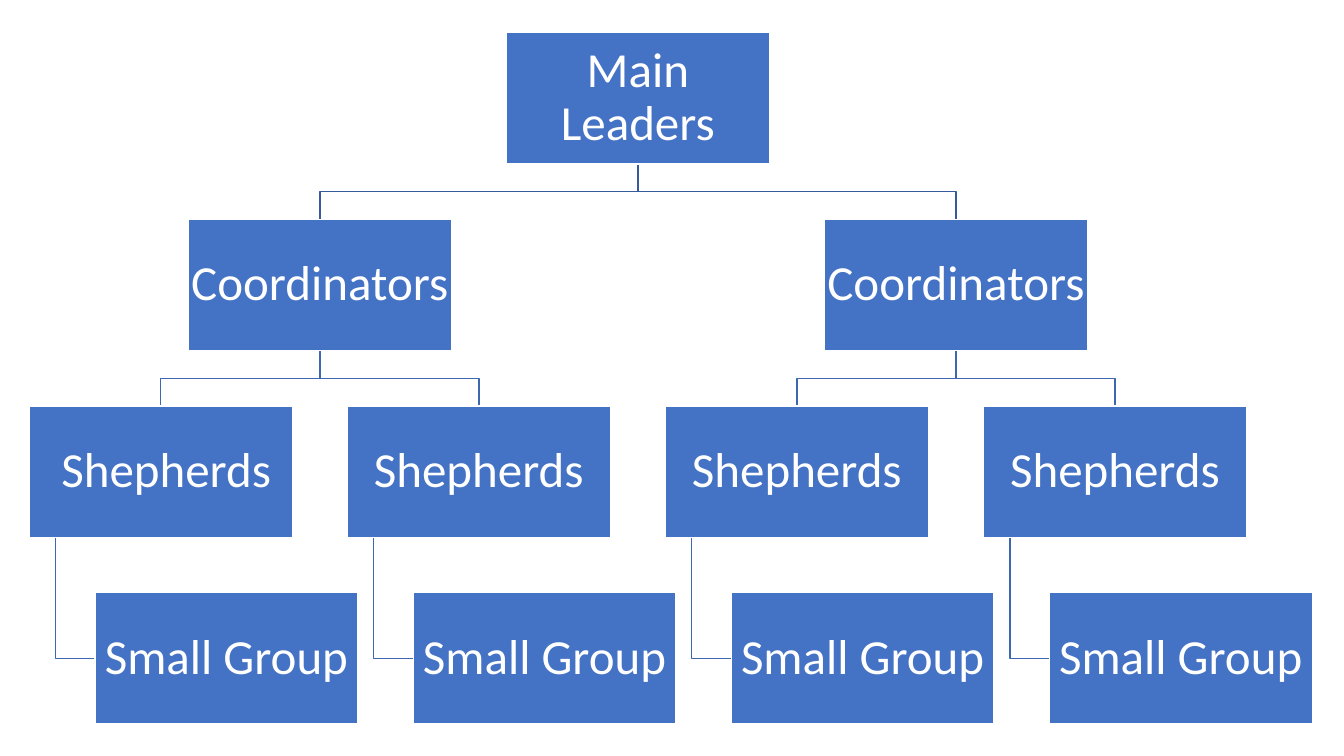
from pptx import Presentation
from pptx.dml.color import RGBColor
from pptx.enum.shapes import MSO_SHAPE as Preset
from pptx.enum.text import MSO_ANCHOR as Anchor, PP_ALIGN as Align
from pptx.util import Cm, Pt

BOX_FILL, WHITE = "4472C4", "FFFFFF"
TOP_LINK, LOWER_LINK = "365B9D", "3E67B2"

# All chart measures are multiples of the box width.
BOX_HEIGHT, COLUMN_STEP, ROW_STEP = 0.5, 1.21, 0.71
GROUP_INDENT, STEM_INSET = 0.25, 0.1
COLUMNS = 4
CHART_WIDTH = (COLUMNS - 1) * COLUMN_STEP + 1 + GROUP_INDENT


def colour(code):
    """Turn a hex string into a colour."""
    return RGBColor.from_string(code)


def write(frame, text, size=35, font="Calibri", ink=WHITE, align=Align.CENTER):
    """Put one formatted paragraph in a text frame."""
    frame.word_wrap = True
    frame.vertical_anchor = Anchor.MIDDLE
    frame.margin_left = frame.margin_right = Cm(0.06)
    frame.margin_top = frame.margin_bottom = Cm(0.06)
    para = frame.paragraphs[0]
    para.alignment, para.line_spacing = align, 0.9
    span = para.add_run()
    span.text = text
    span.font.size, span.font.name = Pt(size), font
    span.font.color.rgb = colour(ink)


def add_box(page, text, left, top, width):
    """Draw one role box, its place given in centimetres."""
    box = page.shapes.add_shape(
        Preset.RECTANGLE, Cm(left), Cm(top), Cm(width), Cm(width * BOX_HEIGHT))
    box.shadow.inherit = False
    box.fill.solid()
    box.fill.fore_color.rgb = colour(BOX_FILL)
    box.line.color.rgb = colour(WHITE)
    box.line.width = Pt(1)
    write(box.text_frame, text)


def add_link(page, points, ink):
    """Draw an open bent line through points in centimetres."""
    start, *rest = [(Cm(x), Cm(y)) for x, y in points]
    builder = page.shapes.build_freeform(*start)
    builder.add_line_segments(rest, close=False)
    link = builder.convert_to_shape()
    link.shadow.inherit = False
    link.fill.background()
    link.line.color.rgb = colour(ink)
    link.line.width = Pt(1)


def add_organisation(page, left, top, width):
    """Draw the whole organisation chart from its left, top and width."""
    box_width = width / CHART_WIDTH
    box_height = box_width * BOX_HEIGHT

    def place(column, row, indent=0):
        """Give the left and top of a box in the grid."""
        return (left + (column * COLUMN_STEP + indent) * box_width,
                top + row * ROW_STEP * box_width)

    def fork(parent, child, ink):
        """Link the foot of a parent box to the head of a child box."""
        parent_x, child_x = (spot[0] + box_width / 2 for spot in (parent, child))
        foot, head = parent[1] + box_height, child[1]
        middle = (foot + head) / 2
        add_link(page, [(parent_x, foot), (parent_x, middle),
                        (child_x, middle), (child_x, head)], ink)

    leaders = place((COLUMNS - 1) / 2, 0)
    coordinators = [place(column, 1) for column in (0.5, 2.5)]
    shepherds = [place(column, 2) for column in range(COLUMNS)]
    groups = [place(column, 3, GROUP_INDENT) for column in range(COLUMNS)]

    for spot in coordinators:
        fork(leaders, spot, TOP_LINK)
    for column, (shepherd, group) in enumerate(zip(shepherds, groups)):
        fork(coordinators[column // 2], shepherd, LOWER_LINK)
        stem, middle = shepherd[0] + STEM_INSET * box_width, group[1] + box_height / 2
        add_link(page, [(stem, shepherd[1] + box_height), (stem, middle),
                        (group[0], middle)], LOWER_LINK)

    roles = [("Main Leaders", [leaders]), ("Coordinators", coordinators),
             (" Shepherds", shepherds[:1]), ("Shepherds", shepherds[1:]),
             ("Small Group", groups)]
    for text, spots in roles:
        for spot in spots:
            add_box(page, text, *spot, box_width)


def main():
    """Build and save the one-page deck."""
    deck = Presentation()
    deck.slide_width, deck.slide_height = Cm(33.87), Cm(19.05)
    page = deck.slides.add_slide(deck.slide_layouts[6])
    add_organisation(page, left=0.74, top=0.82, width=32.33)
    deck.save("out.pptx")


main()
